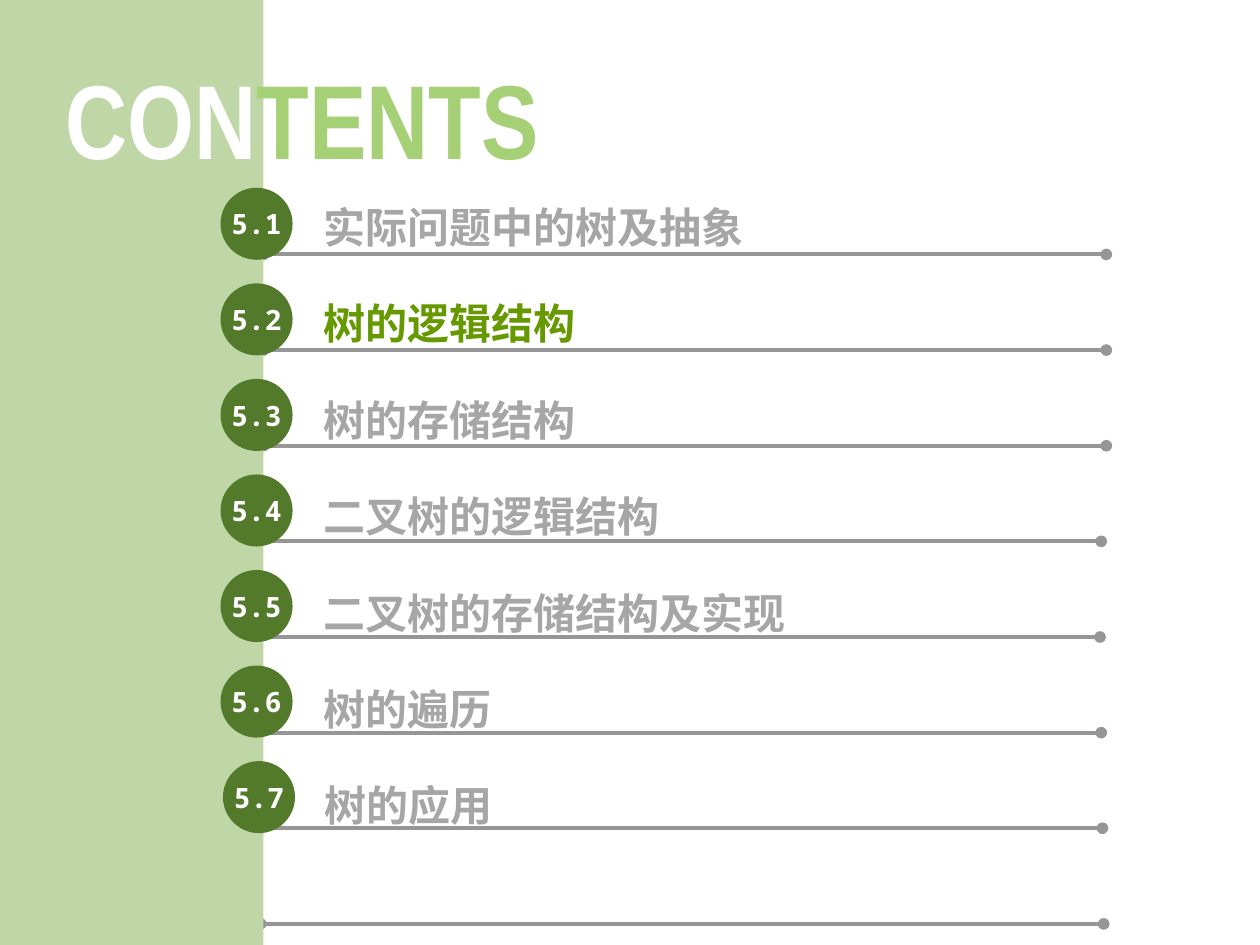
from lxml import etree
from pptx import Presentation
from pptx import util as u
from pptx.dml import color
from pptx.enum import shapes, text
from pptx.oxml import ns

Pt = u.Pt
FONT = "Noto Sans Mono"
TOPICS = ["实际问题中的树及抽象", "树的逻辑结构", "树的存储结构", "二叉树的逻辑结构",
          "二叉树的存储结构及实现", "树的遍历", "树的应用"]
CURRENT = 1
RULE_ENDS = [632.2, 632.2, 632.2, 629.3, 628.6, 629.3, 630, 630.7]
RULE_WIDTH = 481.7
RULE_TOP, RULE_PITCH = 145.4, 54.65
TOPIC_TOP, TOPIC_PITCH = 115.2, 55.08
BADGE_TOP, BADGE_PITCH = 107.3, 54.6
BADGE_SIZE = 41.2


def rgb(code):
    """Turn a hex string into a colour."""
    return color.RGBColor.from_string(code)


def style(span, font, size, code):
    """Format a run in bold, with its East Asian face."""
    span.font.name = font
    span.font.size = Pt(size)
    span.font.bold = True
    span.font.color.rgb = rgb(code)
    latin = span.font._element.find(ns.qn("a:latin"))
    face = etree.Element(ns.qn("a:ea"), typeface=font)
    latin.addnext(face)


def add_solid(page, kind, left, top, width, height, fill):
    """Draw a plain filled shape in the given box."""
    shape = page.shapes.add_shape(kind, Pt(left), Pt(top), Pt(width), Pt(height))
    shape.shadow.inherit = False
    shape.fill.solid()
    shape.fill.fore_color.rgb = rgb(fill)
    shape.line.fill.background()
    return shape


def add_rule(page, right, top):
    """Draw a grey rule with round ends, finishing at the given point."""
    rule = page.shapes.add_connector(
        shapes.MSO_CONNECTOR.STRAIGHT, Pt(right - RULE_WIDTH), Pt(top), Pt(right), Pt(top))
    rule.line.width = Pt(2.25)
    rule.line.color.rgb = rgb("969696")
    properties = rule.element.spPr
    outline = properties.find(ns.qn("a:ln"))
    for end in ("a:headEnd", "a:tailEnd"):
        etree.SubElement(outline, ns.qn(end), type="oval")
    etree.SubElement(properties, ns.qn("a:effectLst"))


def add_topic(page, left, top, width, height, words, code):
    """Write one topic in the given box."""
    box = page.shapes.add_textbox(Pt(left), Pt(top), Pt(width), Pt(height))
    frame = box.text_frame
    frame.word_wrap = True
    frame.vertical_anchor = text.MSO_ANCHOR.MIDDLE
    frame.text = words
    style(frame.paragraphs[0].runs[0], FONT, 24, code)


def add_badge(page, left, top, size, number):
    """Draw a round section number in the given square."""
    badge = add_solid(page, shapes.MSO_SHAPE.OVAL, left, top, size, size, "53792A")
    frame = badge.text_frame
    frame.margin_left = frame.margin_right = frame.margin_top = frame.margin_bottom = 0
    frame.vertical_anchor = text.MSO_ANCHOR.MIDDLE
    frame.word_wrap = False
    frame.text = number
    para = frame.paragraphs[0]
    para.alignment = text.PP_ALIGN.CENTER
    style(para.runs[0], FONT, 16, "FFFFFF")


def place_title(page, left, top, width, height):
    """Set the two-tone title in the given box, in front of the side panel."""
    title = page.shapes.title
    title.left, title.top, title.width, title.height = map(Pt, (left, top, width, height))
    page.shapes.element.append(title.element)
    frame = title.text_frame
    frame.auto_size = text.MSO_AUTO_SIZE.NONE
    frame.vertical_anchor = text.MSO_ANCHOR.MIDDLE
    para = frame.paragraphs[0]
    para.alignment = text.PP_ALIGN.CENTER
    for words, code in (("CON", "FFFFFF"), ("TENTS", "A5D076")):
        span = para.add_run()
        span.text = words
        style(span, "Arial Narrow", 60, code)


def build_contents(page, width, height):
    """Lay out the contents slide in a page of the given size."""
    for index, right in enumerate(RULE_ENDS):
        add_rule(page, right, RULE_TOP + index * RULE_PITCH)
    for index, words in enumerate(TOPICS):
        code = "669900" if index == CURRENT else "A6A6A6"
        left = 178.6 if index == len(TOPICS) - 1 else 177.8
        add_topic(page, left, TOPIC_TOP + index * TOPIC_PITCH, width - 410, 28.8, words, code)
    add_solid(page, shapes.MSO_SHAPE.RECTANGLE, 0, 0, 150.5, height, "BFD7A6")
    place_title(page, -2.9, 25.2, 351.4, 83.5)
    for index in range(len(TOPICS)):
        left = 127.4 if index == len(TOPICS) - 1 else 126
        add_badge(page, left, BADGE_TOP + index * BADGE_PITCH, BADGE_SIZE, f"5.{index + 1}")


def main():
    """Build and save the deck."""
    deck = Presentation()
    deck.slide_width, deck.slide_height = Pt(720), Pt(540)
    page = deck.slides.add_slide(deck.slide_layouts[5])
    build_contents(page, 720, 540)
    deck.save("out.pptx")


if __name__ == "__main__":
    main()
